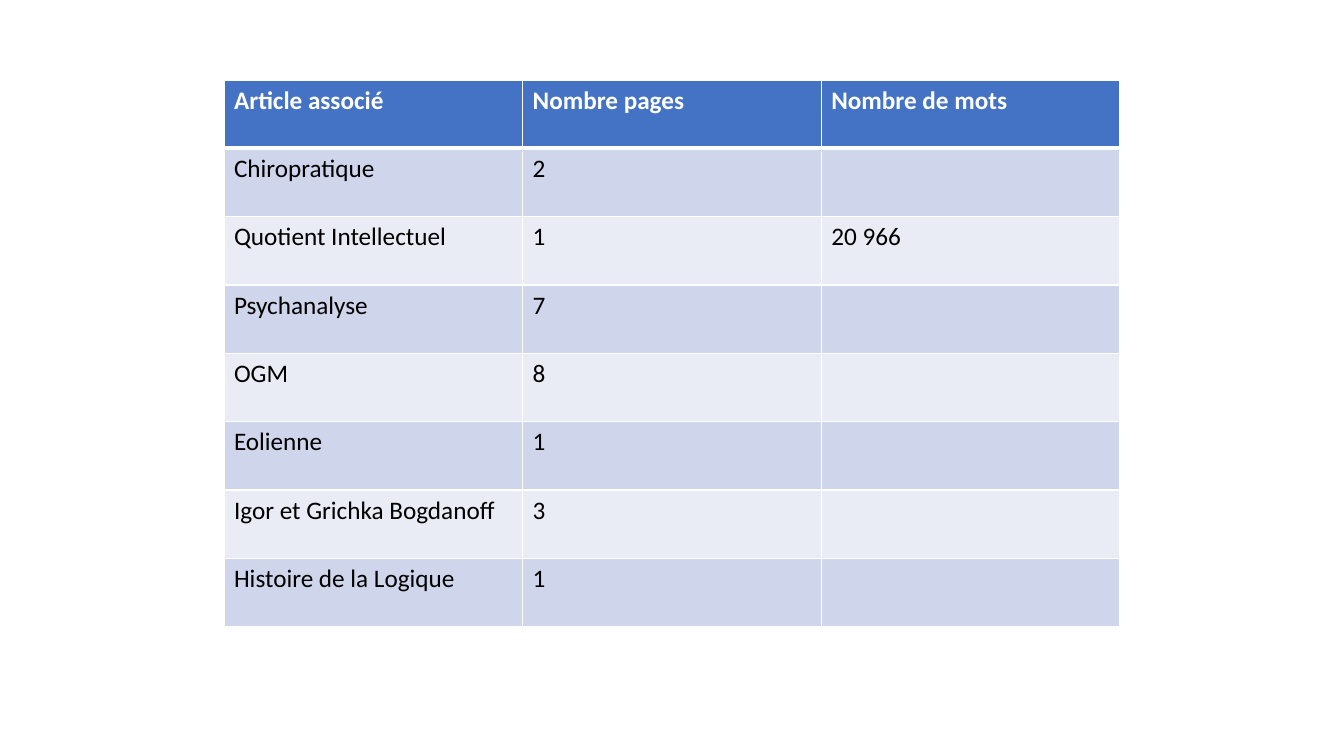
"""Build a slide with a table of articles, their page counts and word counts."""
from lxml.etree import SubElement
from pptx import Presentation
from pptx.dml.color import RGBColor
from pptx.oxml.ns import qn
from pptx.util import Pt

EMU_PER_PX = 914400 / 100.8
WHITE = RGBColor(0xFF, 0xFF, 0xFF)
BLACK = RGBColor(0x00, 0x00, 0x00)
HEADER_BLUE = RGBColor(0x44, 0x72, 0xC4)
BAND_DARK = RGBColor(0xCF, 0xD5, 0xEA)
BAND_LIGHT = RGBColor(0xE9, 0xEB, 0xF5)

ARTICLES = [
    ("Article associé", "Nombre pages", "Nombre de mots"),
    ("Chiropratique", "2", ""),
    ("Quotient Intellectuel", "1", "20 966"),
    ("Psychanalyse", "7", ""),
    ("OGM", "8", ""),
    ("Eolienne", "1", ""),
    ("Igor et Grichka Bogdanoff", "3", ""),
    ("Histoire de la Logique", "1", ""),
]


def px(length):
    return round(length * EMU_PER_PX)


def add_border(cell, side, points):
    border = SubElement(cell._tc.get_or_add_tcPr(), qn(f"a:ln{side}"), w=str(Pt(points)))
    fill = SubElement(border, qn("a:solidFill"))
    SubElement(fill, qn("a:srgbClr"), val=str(WHITE))


deck = Presentation()
deck.slide_width = px(1344)
deck.slide_height = px(756)
slide = deck.slides.add_slide(deck.slide_layouts[6])

article_table = slide.shapes.add_table(
    len(ARTICLES), len(ARTICLES[0]), px(224), px(80), px(896), px(547)
).table

for row, article in enumerate(ARTICLES):
    is_header = row == 0
    band = BAND_DARK if row % 2 else BAND_LIGHT
    for column, wording in enumerate(article):
        cell = article_table.cell(row, column)
        for side in "LRTB":
            under_header = (row, side) in ((0, "B"), (1, "T"))
            add_border(cell, side, 3 if under_header else 1)
        cell.fill.solid()
        cell.fill.fore_color.rgb = HEADER_BLUE if is_header else band
        if wording:
            run = cell.text_frame.paragraphs[0].add_run()
            run.text = wording
            run.font.name = "Calibri"
            run.font.size = Pt(18)
            run.font.bold = is_header
            run.font.color.rgb = WHITE if is_header else BLACK

deck.save("out.pptx")
